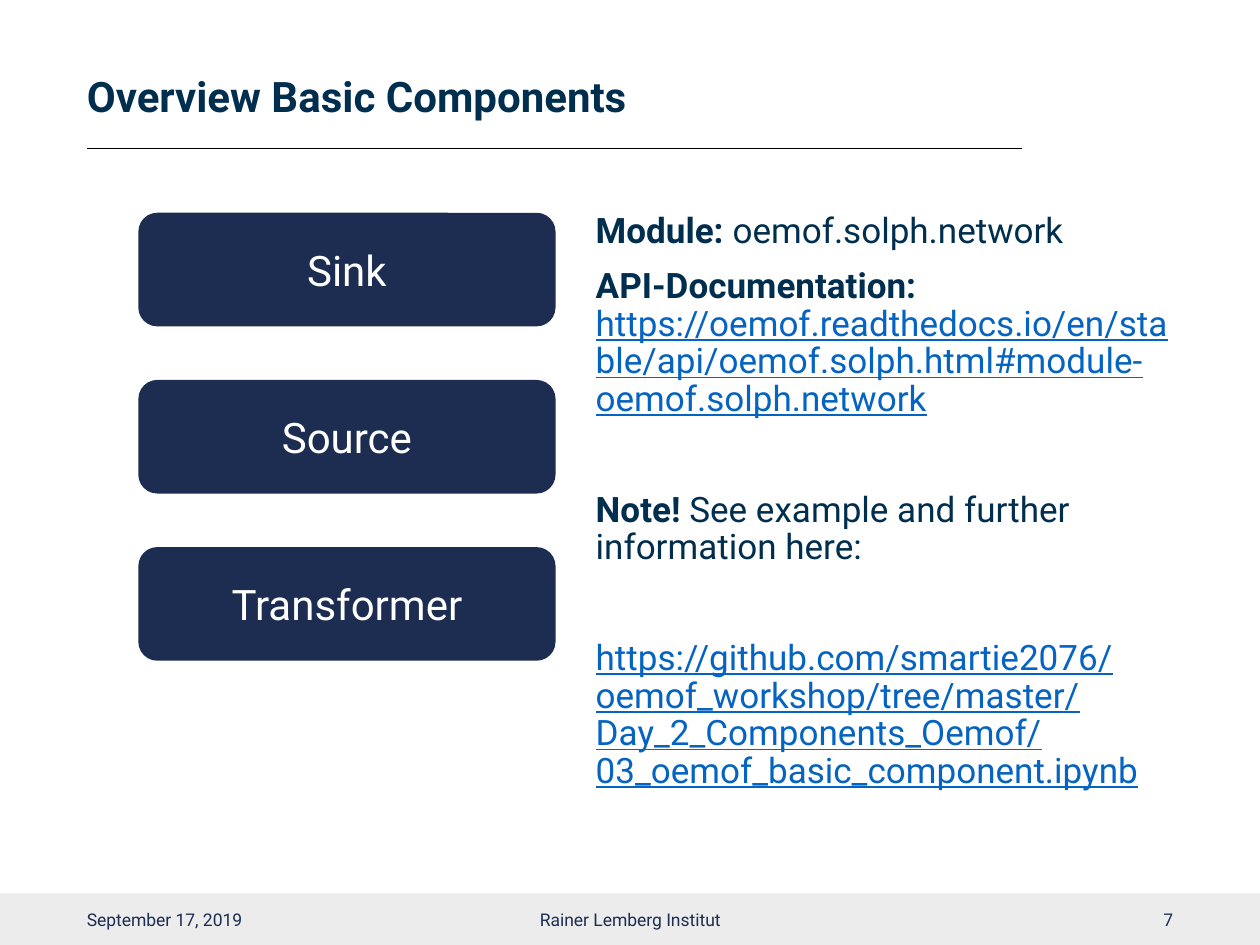
"""Build the slide that gives an overview of the basic components."""
from lxml.etree import SubElement
from pptx import Presentation
from pptx.dml.color import RGBColor
from pptx.enum.shapes import MSO_CONNECTOR, MSO_SHAPE
from pptx.enum.text import MSO_ANCHOR, PP_ALIGN
from pptx.oxml.ns import qn
from pptx.util import Cm, Pt

NAVY = RGBColor(0x1C, 0x2D, 0x51)
INK = RGBColor(0x00, 0x2E, 0x4F)
LINK = RGBColor(0x05, 0x63, 0xC1)
PALE = RGBColor(0xEC, 0xEC, 0xEC)
WHITE = RGBColor(0xFF, 0xFF, 0xFF)
BLACK = RGBColor(0x00, 0x00, 0x00)


class Painter:
    font = "Roboto"

    def __init__(self, page):
        self.page = page

    def add_span(self, para, text, size, color, bold=False, underline=False):
        span = para.add_run()
        span.text = text
        span.font.name = self.font
        span.font.size = Pt(size)
        span.font.color.rgb = color
        span.font.bold = bold
        span.font.underline = underline

    def add_block(self, shape, left, top, width, height, fill, label=None):
        block = self.page.shapes.add_shape(shape, Cm(left), Cm(top), Cm(width), Cm(height))
        block.shadow.inherit = False
        block.fill.solid()
        block.fill.fore_color.rgb = fill
        block.line.fill.background()
        if label:
            block.text_frame.vertical_anchor = MSO_ANCHOR.MIDDLE
            para = block.text_frame.paragraphs[0]
            para.alignment = PP_ALIGN.CENTER
            self.add_span(para, label, 24, WHITE)

    def add_rule(self, left, right, top):
        rule = self.page.shapes.add_connector(
            MSO_CONNECTOR.STRAIGHT, Cm(left), Cm(top), Cm(right), Cm(top))
        rule.line.color.rgb = BLACK
        rule.line.width = Pt(0.5)
        SubElement(rule._element.spPr, qn("a:effectLst"))

    def add_box(self, left, top, width, height, anchor, inset=0):
        frame = self.page.shapes.add_textbox(
            Cm(left), Cm(top), Cm(width), Cm(height)).text_frame
        frame.word_wrap = True
        frame.vertical_anchor = anchor
        frame.margin_left = frame.margin_right = Cm(inset)
        frame.margin_top = 0 if anchor == MSO_ANCHOR.TOP else Cm(0.13)
        return frame

    def add_label(self, left, top, width, height, text, size, color,
                  bold=False, align=PP_ALIGN.LEFT):
        frame = self.add_box(left, top, width, height, MSO_ANCHOR.MIDDLE)
        para = frame.paragraphs[0]
        para.alignment = align
        para.line_spacing = 0.9 if bold else 1.0
        self.add_span(para, text, size, color, bold)

    def add_body(self, left, top, width, height, paragraphs):
        frame = self.add_box(left, top, width, height, MSO_ANCHOR.TOP, 0.25)
        for index, (gap, spans) in enumerate(paragraphs):
            para = frame.add_paragraph() if index else frame.paragraphs[0]
            para.line_spacing = 0.9
            para.space_before = Pt(gap)
            for text, color, bold, underline in spans:
                self.add_span(para, text, 20, color, bold, underline)


def main():
    deck = Presentation()
    deck.slide_width, deck.slide_height = Cm(25.4), Cm(19.05)
    page = deck.slides.add_slide(deck.slide_layouts[6])
    painter = Painter(page)

    painter.add_block(MSO_SHAPE.RECTANGLE, 0, 18.01, 25.4, 1.04, PALE)
    painter.add_rule(1.75, 20.6, 3)
    painter.add_label(1.75, 0.97, 18.87, 2.03, "Overview Basic Components", 24, INK, bold=True)

    footer = [
        (1.75, 5.72, "September 17, 2019", PP_ALIGN.LEFT),
        (8.41, 8.59, "Rainer Lemberg Institut", PP_ALIGN.CENTER),
        (17.93, 5.72, "7", PP_ALIGN.RIGHT),
    ]
    for left, width, text, align in footer:
        painter.add_label(left, 18.02, width, 1.02, text, 10, NAVY, align=align)

    for row, component in enumerate(["Sink", "Source", "Transformer"]):
        painter.add_block(MSO_SHAPE.ROUNDED_RECTANGLE, 2.79, 4.29 + row * 3.37,
                          8.41, 2.29, NAVY, component)

    painter.add_body(11.76, 4.29, 12.12, 12.67, [
        (0, [("Module: ", INK, True, False),
             ("oemof.solph.network", INK, False, False)]),
        (10, [("API-Documentation: ", INK, True, False),
              ("https://oemof.readthedocs.io/en/stable/api/"
               "oemof.solph.html#module-oemof.solph.network", LINK, False, True)]),
        (41.5, [("Note!", INK, True, False),
                (" See example and further information here:", INK, False, False)]),
        (41.5, [("https://github.com/smartie2076/oemof_workshop/tree/master/"
                 "Day_2_Components_Oemof/03_oemof_basic_component.ipynb",
                 LINK, False, True)]),
    ])
    deck.save("out.pptx")


if __name__ == "__main__":
    main()
